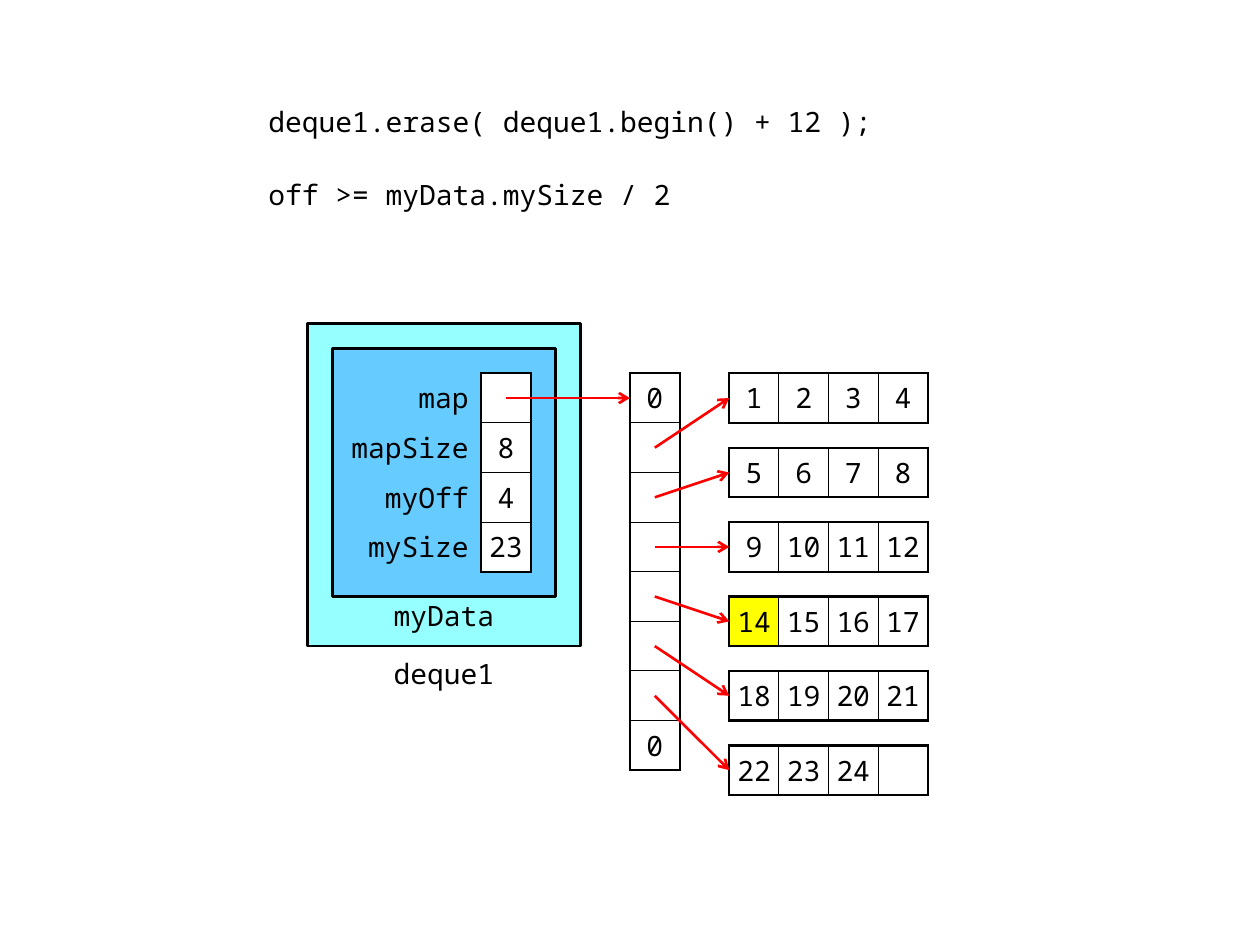
from dataclasses import dataclass

from lxml.etree import SubElement
from pptx import Presentation
from pptx.dml.color import RGBColor
from pptx.enum.shapes import MSO_CONNECTOR, MSO_SHAPE
from pptx.enum.text import MSO_ANCHOR, MSO_AUTO_SIZE, PP_ALIGN
from pptx.oxml.ns import qn
from pptx.util import Pt


@dataclass(frozen=True)
class Theme:
    font: str = "Noto Sans Mono"
    size: float = 16
    ink: str = "000000"
    paper: str = "FFFFFF"
    highlight: str = "FFFF00"
    arrow: str = "FF0000"
    outer: str = "96FFFF"
    inner: str = "66CCFF"
    thick: float = 1.5
    thin: float = 0.75


@dataclass(frozen=True)
class Box:
    left: float
    top: float
    width: float
    height: float

    def lengths(self):
        return Pt(self.left), Pt(self.top), Pt(self.width), Pt(self.height)


THEME = Theme()
CELL = 28.35


def color(value):
    return RGBColor.from_string(value)


def write(paragraph, text, alignment):
    paragraph.alignment = alignment
    run = paragraph.add_run()
    run.text = text
    run.font.name = THEME.font
    run.font.size = Pt(THEME.size)
    run.font.color.rgb = color(THEME.ink)


def set_insets(target, horizontal, top, bottom):
    target.margin_left = target.margin_right = Pt(horizontal)
    target.margin_top, target.margin_bottom = Pt(top), Pt(bottom)


def add_code(slide, box, lines):
    placeholder = slide.placeholders[1]
    placeholder.left, placeholder.top, placeholder.width, placeholder.height = box.lengths()
    frame = placeholder.text_frame
    frame.auto_size = MSO_AUTO_SIZE.NONE
    frame.vertical_anchor = MSO_ANCHOR.TOP
    set_insets(frame, 5.8, 2, 0)
    for index, line in enumerate(lines):
        paragraph = frame.add_paragraph() if index else frame.paragraphs[0]
        write(paragraph, line, PP_ALIGN.LEFT)
        paragraph.line_spacing = 1.0
        paragraph.space_before = Pt(22.8 if index else 0)
        properties = paragraph._p.get_or_add_pPr()
        properties.set("marL", "0")
        properties.set("indent", "0")
        SubElement(properties, qn("a:buNone"))


def add_panel(slide, box, fill):
    shape = slide.shapes.add_shape(MSO_SHAPE.FLOWCHART_PROCESS, *box.lengths())
    shape.shadow.inherit = False
    shape.fill.solid()
    shape.fill.fore_color.rgb = color(fill)
    shape.line.color.rgb = color(THEME.ink)
    shape.line.width = Pt(THEME.thick)


def add_caption(slide, box, text, anchor, top_inset):
    frame = slide.shapes.add_textbox(*box.lengths()).text_frame
    frame.word_wrap = True
    frame.vertical_anchor = anchor
    set_insets(frame, 5.8, top_inset, 0)
    write(frame.paragraphs[0], text, PP_ALIGN.CENTER)


def add_grid(slide, box, rows, columns):
    table = slide.shapes.add_table(rows, columns, *box.lengths()).table
    table.first_row = False
    table.horz_banding = False
    return table


def format_cell(cell, text, borders, fill=None, alignment=PP_ALIGN.CENTER, inset=0):
    properties = cell._tc.get_or_add_tcPr()
    for side, width in zip("LRTB", borders):
        line = SubElement(properties, qn(f"a:ln{side}"), w=str(int(Pt(width))))
        if width:
            solid = SubElement(line, qn("a:solidFill"))
            SubElement(solid, qn("a:srgbClr"), val=THEME.ink)
        else:
            SubElement(line, qn("a:noFill"))
    if fill:
        cell.fill.solid()
        cell.fill.fore_color.rgb = color(fill)
    else:
        cell.fill.background()
    cell.vertical_anchor = MSO_ANCHOR.MIDDLE
    set_insets(cell, inset, 2.9, 2.9)
    if text:
        write(cell.text_frame.paragraphs[0], text, alignment)


def edges(index, count):
    return (THEME.thin if index else THEME.thick,
            THEME.thin if index < count - 1 else THEME.thick)


def add_column(table, column, values, fill=None):
    for row, value in enumerate(values):
        borders = (THEME.thick, THEME.thick, *edges(row, len(values)))
        format_cell(table.cell(row, column), value, borders, fill)


def add_deque(slide, box, fields):
    add_panel(slide, box, THEME.outer)
    inner = Box(box.left + CELL / 2, box.top + CELL / 2, box.width - CELL, box.height - 1.5 * CELL)
    add_panel(slide, inner, THEME.inner)
    add_caption(slide, Box(box.left + CELL, box.top + box.height, box.width - 2 * CELL, CELL),
                "deque1", MSO_ANCHOR.MIDDLE, 2.9)
    add_caption(slide, Box(box.left + 1.5 * CELL, inner.top + inner.height, box.width - 3 * CELL, CELL),
                "myData", MSO_ANCHOR.TOP, 1.4)
    grid = Box(inner.left, inner.top + CELL / 2, 4 * CELL, len(fields) * CELL)
    table = add_grid(slide, grid, len(fields), 2)
    table.columns[0].width, table.columns[1].width = Pt(3 * CELL), Pt(CELL)
    for row, name in enumerate(fields):
        format_cell(table.cell(row, 0), name, (0, THEME.thick, 0, 0), None, PP_ALIGN.RIGHT, 7.2)
    add_column(table, 1, fields.values(), THEME.paper)


def add_map(slide, box, values):
    add_column(add_grid(slide, box, len(values), 1), 0, values)


def add_block(slide, box, values, highlighted):
    table = add_grid(slide, box, 1, len(values))
    for column, value in enumerate(values):
        fill = THEME.highlight if value == highlighted else THEME.paper
        borders = (*edges(column, len(values)), THEME.thick, THEME.thick)
        format_cell(table.cell(0, column), value, borders, fill)


def add_arrow(slide, start, end):
    connector = slide.shapes.add_connector(
        MSO_CONNECTOR.STRAIGHT, *(Pt(length) for length in (*start, *end)))
    connector.line.color.rgb = color(THEME.arrow)
    connector.line.width = Pt(THEME.thick)
    SubElement(connector.line._get_or_add_ln(), qn("a:tailEnd"), type="arrow")
    SubElement(connector._element.spPr, qn("a:effectLst"))


def add_storage(slide, box, map_values, blocks, highlighted):
    middle = box.top + CELL / 2
    block_left = box.left + 2 * CELL
    add_map(slide, Box(box.left, box.top, CELL, len(map_values) * CELL), map_values)
    add_arrow(slide, (box.left - 2.5 * CELL, middle), (box.left, middle))
    for index, values in enumerate(blocks):
        offset = 1.5 * CELL * index
        add_block(slide, Box(block_left, box.top + offset, len(values) * CELL, CELL), values, highlighted)
        add_arrow(slide, (box.left + CELL / 2, middle + (index + 1) * CELL), (block_left, middle + offset))


def main():
    presentation = Presentation()
    presentation.slide_width, presentation.slide_height = Pt(720), Pt(540)
    slide = presentation.slides.add_slide(presentation.slide_layouts[1])
    title = slide.shapes.title._element
    title.getparent().remove(title)

    add_code(slide, Box(147.6, 57.6, 425.5, 70.6),
             ["deque1.erase( deque1.begin() + 12 );", "off >= myData.mySize / 2"])
    deque = Box(175.75, 184.95, 5.5 * CELL, 6.5 * CELL)
    add_deque(slide, deque, {"map": "", "mapSize": "8", "myOff": "4", "mySize": "23"})

    numbers = [*range(1, 13), *range(14, 25), ""]
    blocks = [[str(number) for number in numbers[start:start + 4]]
              for start in range(0, len(numbers), 4)]
    storage = Box(deque.left + 6.5 * CELL, deque.top + CELL, 6 * CELL, 8.5 * CELL)
    add_storage(slide, storage, ["0", *[""] * len(blocks), "0"], blocks, "14")
    presentation.save("out.pptx")


if __name__ == "__main__":
    main()
